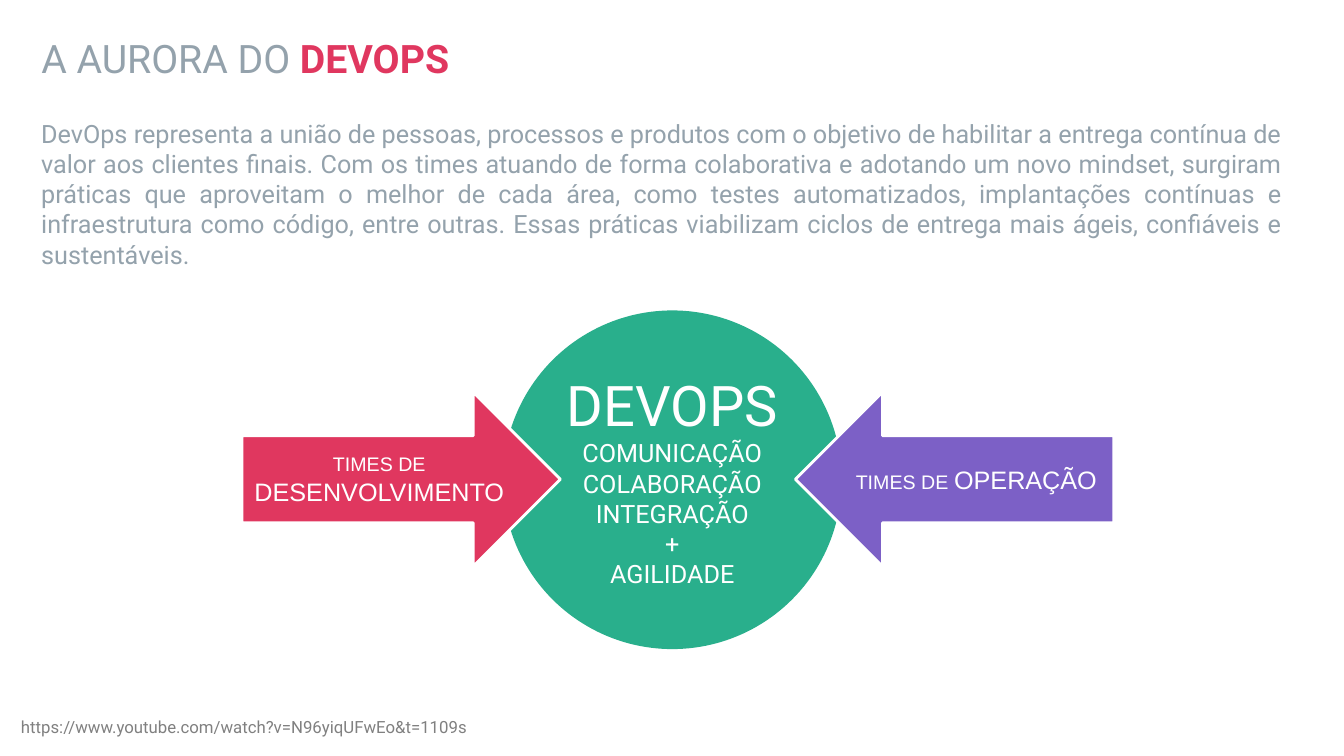
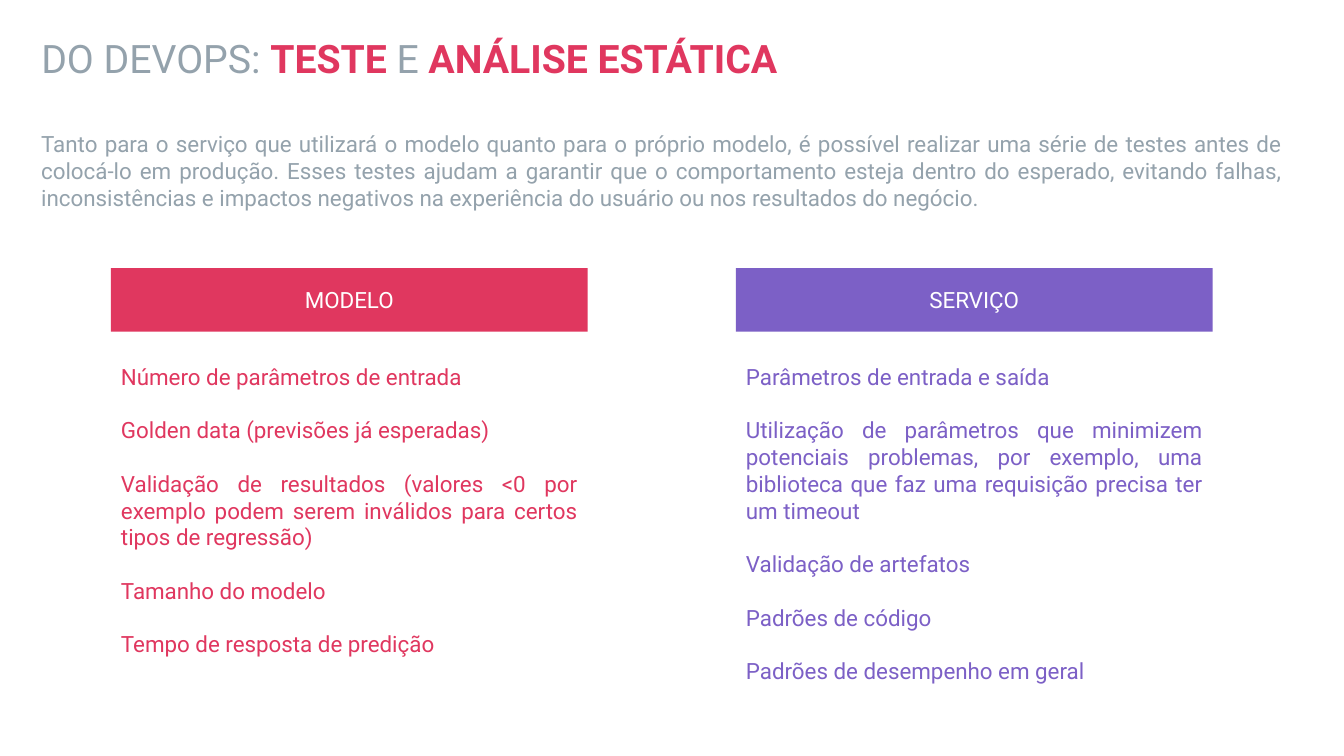
from dataclasses import dataclass

from lxml import etree
from pptx import Presentation, util as u
from pptx.dml.color import RGBColor
from pptx.enum import shapes, text
from pptx.oxml.ns import qn

WIDE, HIGH = 133.33, 75  # grid of tenth-inch columns and rows
WHITE, GREY, SMOKE = "FFFFFF", "94A2AC", "808080"
RED, GREEN, VIOLET = "E0375F", "29AF8C", "7C60C6"
EDGE = 3.1
LEFT, MID, JUST = text.PP_ALIGN.LEFT, text.PP_ALIGN.CENTER, text.PP_ALIGN.JUSTIFY


@dataclass(frozen=True)
class Box:
    col: float
    row: float
    cols: float
    rows: float

    def lay(self) -> tuple:
        return tuple(grid(n) for n in (self.col, self.row, self.cols, self.rows))


@dataclass(frozen=True)
class Run:
    words: str
    size: float = 16
    tint: str = WHITE
    bold: bool = False
    face: str = "Roboto"


@dataclass(frozen=True)
class Arrow:
    kind: shapes.MSO_SHAPE
    col: float
    tint: str
    team: str


@dataclass(frozen=True)
class Panel:
    head: str
    tint: str
    items: tuple


ARROWS = (
    Arrow(shapes.MSO_SHAPE.RIGHT_ARROW, 24, RED, "DESENVOLVIMENTO"),
    Arrow(shapes.MSO_SHAPE.LEFT_ARROW, 78.9, VIOLET, "OPERAÇÃO"),
)
PANELS = (
    Panel("MODELO", RED, (
        "Número de parâmetros de entrada",
        "Golden data (previsões já esperadas)",
        "Validação de resultados (valores <0 por exemplo podem serem inválidos "
        "para certos tipos de regressão)",
        "Tamanho do modelo",
        "Tempo de resposta de predição",
    )),
    Panel("SERVIÇO", VIOLET, (
        "Parâmetros de entrada e saída",
        "Utilização de parâmetros que minimizem potenciais problemas, por exemplo, "
        "uma biblioteca que faz uma requisição precisa ter um timeout",
        "Validação de artefatos",
        "Padrões de código",
        "Padrões de desempenho em geral",
    )),
)
UNION = (
    "DevOps representa a união de pessoas, processos e produtos com o objetivo de "
    "habilitar a entrega contínua de valor aos clientes finais. Com os times atuando "
    "de forma colaborativa e adotando um novo mindset, surgiram práticas que aproveitam "
    "o melhor de cada área, como testes automatizados, implantações contínuas e "
    "infraestrutura como código, entre outras. Essas práticas viabilizam ciclos de "
    "entrega mais ágeis, confiáveis e sustentáveis."
)
TESTS = (
    "Tanto para o serviço que utilizará o modelo quanto para o próprio modelo, é "
    "possível realizar uma série de testes antes de colocá-lo em produção. Esses testes "
    "ajudam a garantir que o comportamento esteja dentro do esperado, evitando falhas, "
    "inconsistências e impactos negativos na experiência do usuário ou nos resultados "
    "do negócio."
)


def grid(n: float) -> int:
    return u.Inches(n / 10)


def hue(code: str) -> RGBColor:
    return RGBColor.from_string(code)


def write(shape, lines: list, align=LEFT, mid: bool = False, gap: float = 0) -> None:
    """Fill a shape with lines of runs, without bullets, gap points apart."""
    frame = shape.text_frame
    frame.word_wrap = True
    frame.auto_size = text.MSO_AUTO_SIZE.NONE
    frame.vertical_anchor = text.MSO_ANCHOR.MIDDLE if mid else text.MSO_ANCHOR.TOP
    for i, runs in enumerate(lines):
        para = frame.add_paragraph() if i else frame.paragraphs[0]
        para.alignment = align
        para.space_before = u.Pt(gap if i else 0)
        props = para._p.get_or_add_pPr()
        props.set("marL", "0")
        props.set("indent", "0")
        etree.SubElement(props, qn("a:buNone"))
        for run in runs:
            part = para.add_run()
            part.text = run.words
            font = part.font
            font.name, font.size, font.bold = run.face, u.Pt(run.size), run.bold
            font.color.rgb = hue(run.tint)


def place(holder, box: Box) -> None:
    holder.left, holder.top, holder.width, holder.height = box.lay()


def start(deck, layout: int, *parts: tuple):
    """Add a slide whose title is made of (words, strong) parts."""
    slide = deck.slides.add_slide(deck.slide_layouts[layout])
    title = slide.shapes.title
    place(title, Box(EDGE, 2.9, 115, 6.3))
    runs = [Run(words, 28, RED if strong else GREY, strong) for words, strong in parts]
    write(title, [runs], mid=True)
    title.text_frame.paragraphs[0].line_spacing = 0.9
    return slide


def note(slide, box: Box, run: Run, align=LEFT) -> None:
    write(slide.shapes.add_textbox(*box.lay()), [[run]], align)


def block(slide, kind, box: Box, tint: str, lines: list, rim: bool = False) -> None:
    shape = slide.shapes.add_shape(kind, *box.lay())
    shape.shadow.inherit = False
    shape.fill.solid()
    shape.fill.fore_color.rgb = hue(tint)
    if rim:
        shape.line.color.rgb = hue(WHITE)
        shape.line.width = u.Pt(2)
    else:
        shape.line.fill.background()
    write(shape, lines, MID, mid=True)


def dawn(deck) -> None:
    slide = start(deck, 5, ("A AURORA DO ", False), ("DEVOPS", True))
    goals = ("COMUNICAÇÃO", "COLABORAÇÃO INTEGRAÇÃO", "+", "AGILIDADE")
    lines = [[Run("DEVOPS", 40)]] + [[Run(goal, 18)] for goal in goals]
    block(slide, shapes.MSO_SHAPE.OVAL, Box(49.9, 30.8, 33.6, 33.6), GREEN, lines)
    for arrow in ARROWS:
        runs = [Run("TIMES DE ", 14, face="Arial"), Run(arrow.team, 18, face="Arial")]
        box = Box(arrow.col, 38.9, 31.6, 17.3)
        block(slide, arrow.kind, box, arrow.tint, [runs], rim=True)
    link = Run("https://www.youtube.com/watch?v=N96yiqUFwEo&t=1109s", 12, SMOKE)
    note(slide, Box(1.1, 70.6, 66.7, 3), link)
    note(slide, Box(EDGE, 11.2, 125.1, 16.2), Run(UNION, 18, GREY), JUST)


def tests(deck) -> None:
    slide = start(deck, 3, ("DO DEVOPS: ", False), ("TESTE", True),
                  (" E ", False), ("ANÁLISE ESTÁTICA", True))
    note(slide, Box(EDGE, 12.4, 125.1, 9.1), Run(TESTS, 16, GREY), JUST)
    for i, panel in enumerate(PANELS):
        col = 11 + 62 * i
        block(slide, shapes.MSO_SHAPE.RECTANGLE, Box(col, 26.6, 47.3, 6.3),
              panel.tint, [[Run(panel.head)]])
        body = slide.placeholders[i + 1]
        place(body, Box(col, 35.5, 47.3, 33.3))
        lines = [[Run(item, tint=panel.tint)] for item in panel.items]
        write(body, lines, JUST, gap=19)


def main() -> None:
    deck = Presentation()
    deck.slide_width, deck.slide_height = grid(WIDE), grid(HIGH)
    dawn(deck)
    tests(deck)
    deck.save("out.pptx")


if __name__ == "__main__":
    main()
